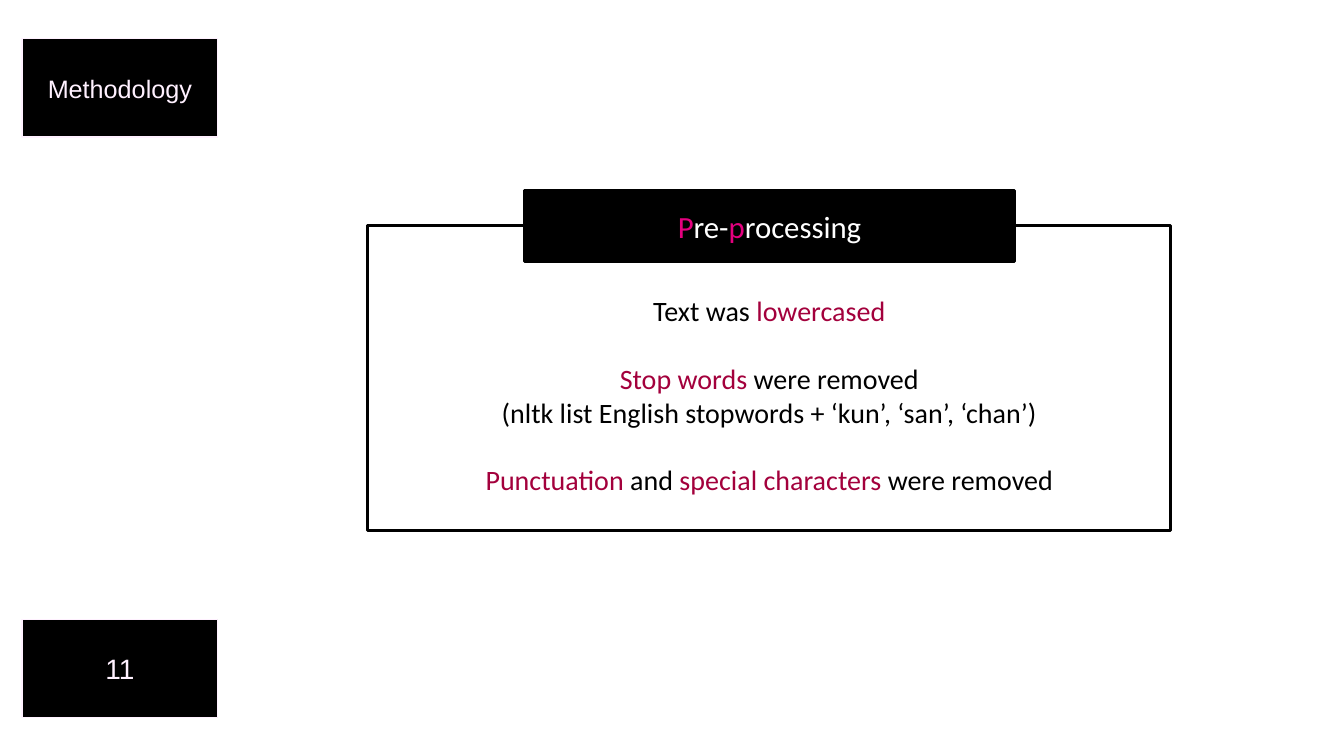
import dataclasses

import pptx
import pptx.dml.color
import pptx.enum.shapes
import pptx.enum.text
import pptx.util

Pt = pptx.util.Pt

COLOURS = {
    "black": "000000",
    "white": "FFFFFF",
    "blush": "FFF1FF",
    "pink": "E4007F",
    "crimson": "A3003C",
}
LINE_HEIGHT = 24.4  # one line of 20 pt Calibri


@dataclasses.dataclass(frozen=True)
class Span:
    text: str
    colour: str


@dataclasses.dataclass(frozen=True)
class Para:
    spans: tuple[Span, ...]
    space_before: float = 0


@dataclasses.dataclass(frozen=True)
class Box:
    left: float
    top: float
    width: float
    height: float
    fill: str
    line: str
    line_width: float
    paras: tuple[Para, ...]
    font: str
    size: float
    top_inset: float = 3.6


def rgb(colour: str) -> pptx.dml.color.RGBColor:
    return pptx.dml.color.RGBColor.from_string(COLOURS[colour])


def add_text(para, text: str, *, font: str, size: float, colour: str) -> None:
    span = para.add_run()
    span.text = text
    span.font.name = font
    span.font.size = Pt(size)
    span.font.color.rgb = rgb(colour)


def draw_box(page, box: Box) -> None:
    shape = page.shapes.add_shape(
        pptx.enum.shapes.MSO_SHAPE.RECTANGLE,
        Pt(box.left), Pt(box.top), Pt(box.width), Pt(box.height),
    )
    shape.shadow.inherit = False
    shape.fill.solid()
    shape.fill.fore_color.rgb = rgb(box.fill)
    shape.line.color.rgb = rgb(box.line)
    shape.line.width = Pt(box.line_width)

    frame = shape.text_frame
    frame.word_wrap = True
    frame.vertical_anchor = pptx.enum.text.MSO_ANCHOR.MIDDLE
    frame.margin_top = Pt(box.top_inset)
    for index, content in enumerate(box.paras):
        para = frame.add_paragraph() if index else frame.paragraphs[0]
        para.alignment = pptx.enum.text.PP_ALIGN.CENTER
        para.space_before = Pt(content.space_before)
        for span in content.spans:
            add_text(para, span.text, font=box.font, size=box.size, colour=span.colour)


def side_label(text: str, top: float, size: float) -> Box:
    return Box(15.84, top, 139.68, 70.2, "black", "blush", 1,
               (Para((Span(text, "blush"),)),), "Arial", size)


# Pre-processing steps, with a line of space between them
STEPS = (
    Para((Span("Text was ", "black"), Span("lowercased", "crimson"))),
    Para((Span("Stop words ", "crimson"), Span("were removed", "black")), LINE_HEIGHT),
    Para((Span("(nltk list English stopwords + ‘kun’, ‘san’, ‘chan’)", "black"),)),
    Para((
        Span("Punctuation", "crimson"),
        Span(" and ", "black"),
        Span("special characters ", "crimson"),
        Span("were removed", "black"),
    ), LINE_HEIGHT),
)

HEADING = Para((
    Span("P", "pink"),
    Span("re-", "white"),
    Span("p", "pink"),
    Span("rocessing", "white"),
))

BOXES = (
    # Section name and page number
    side_label("Methodology", 27.7, 18),
    side_label("11", 442.4, 20),
    # Panel, then the heading over its top edge
    Box(262.8, 161.3, 573.4, 217.4, "white", "black", 2.25, STEPS, "Calibri", 20,
        top_inset=3.6 + LINE_HEIGHT),
    Box(374.4, 135.8, 350.6, 51.1, "black", "black", 2.25, (HEADING,), "Calibri", 22),
)


def main() -> None:
    deck = pptx.Presentation()
    deck.slide_width = Pt(960)
    deck.slide_height = Pt(540)
    page = deck.slides.add_slide(deck.slide_layouts[6])
    for box in BOXES:
        draw_box(page, box)
    deck.save("out.pptx")


if __name__ == "__main__":
    main()
